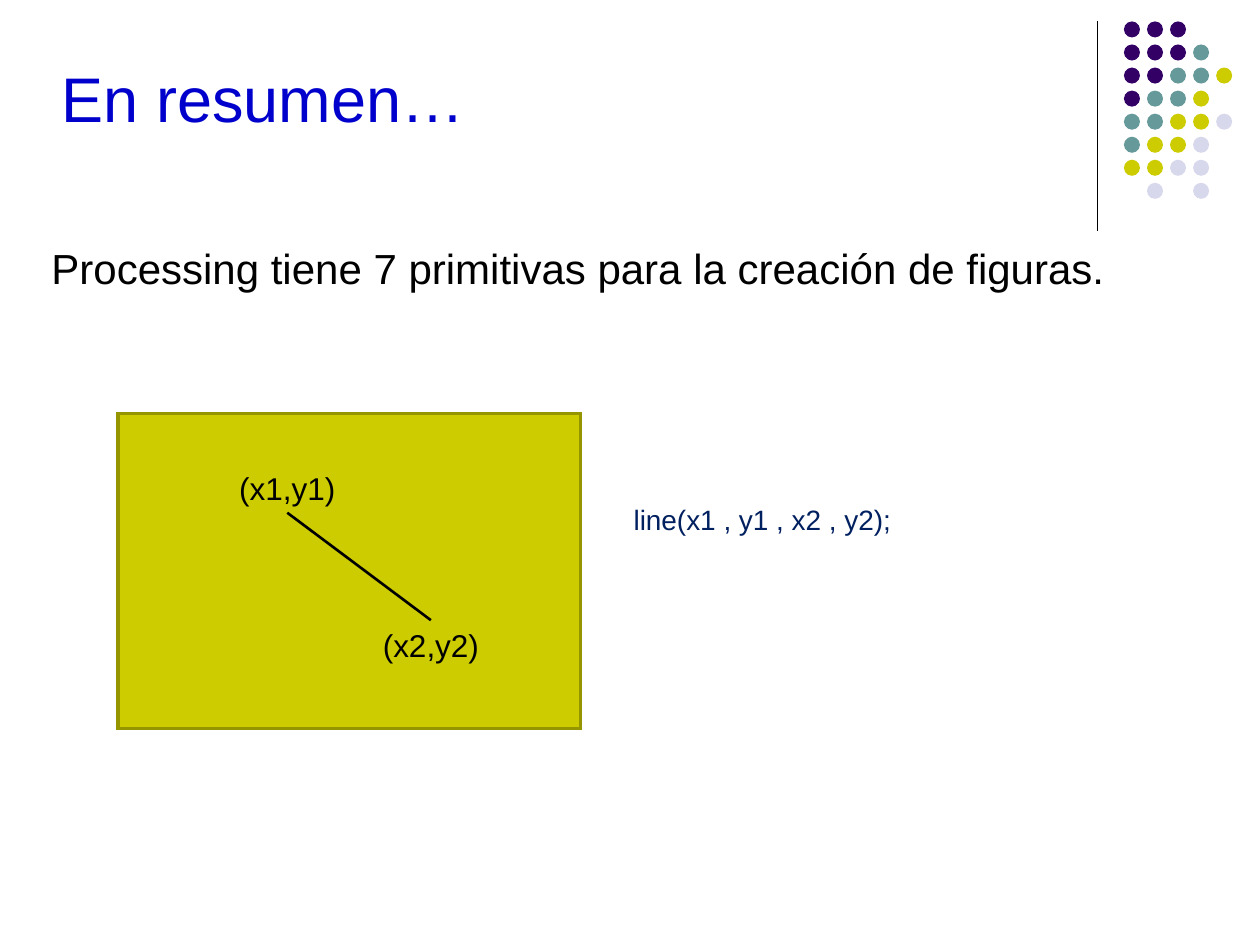
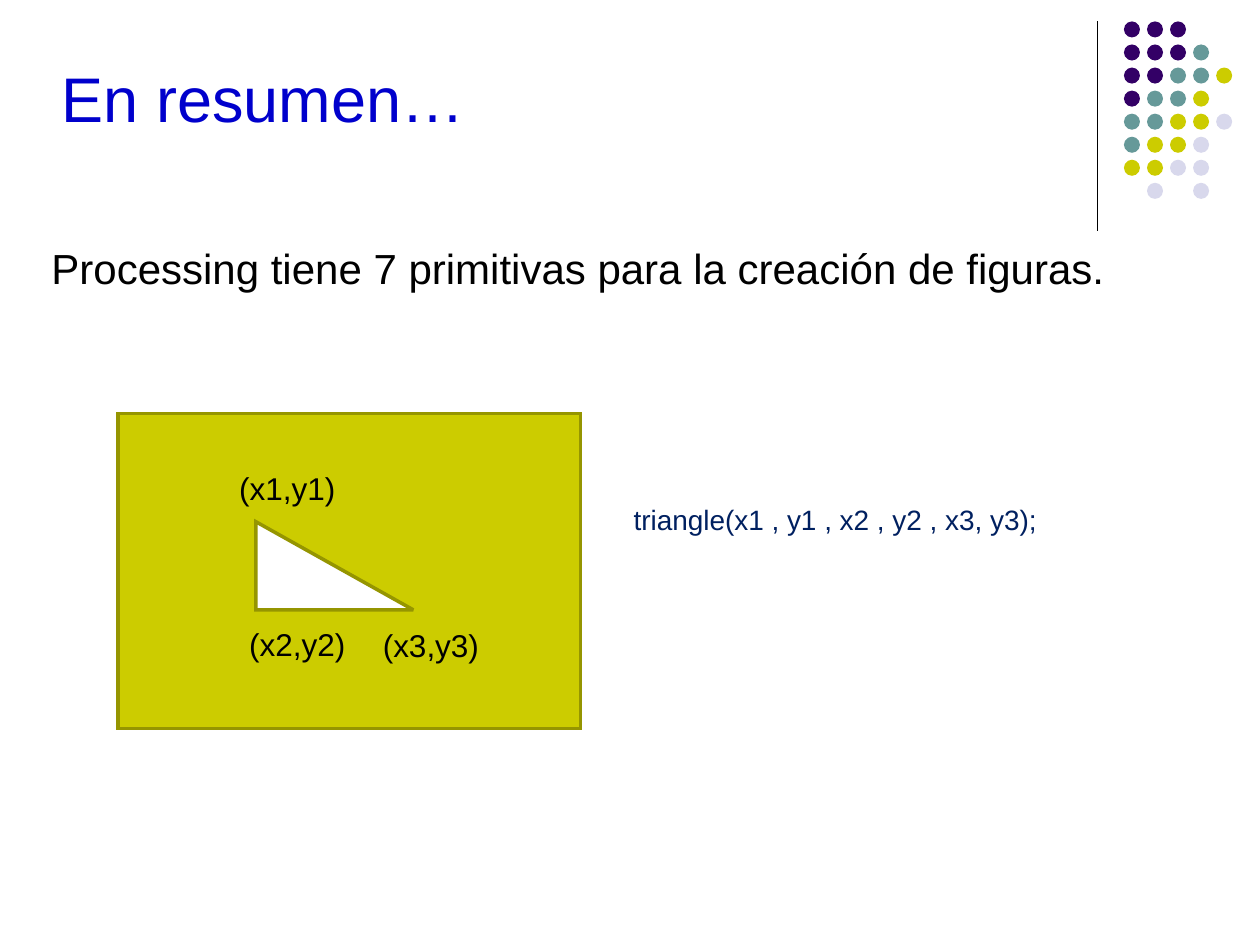
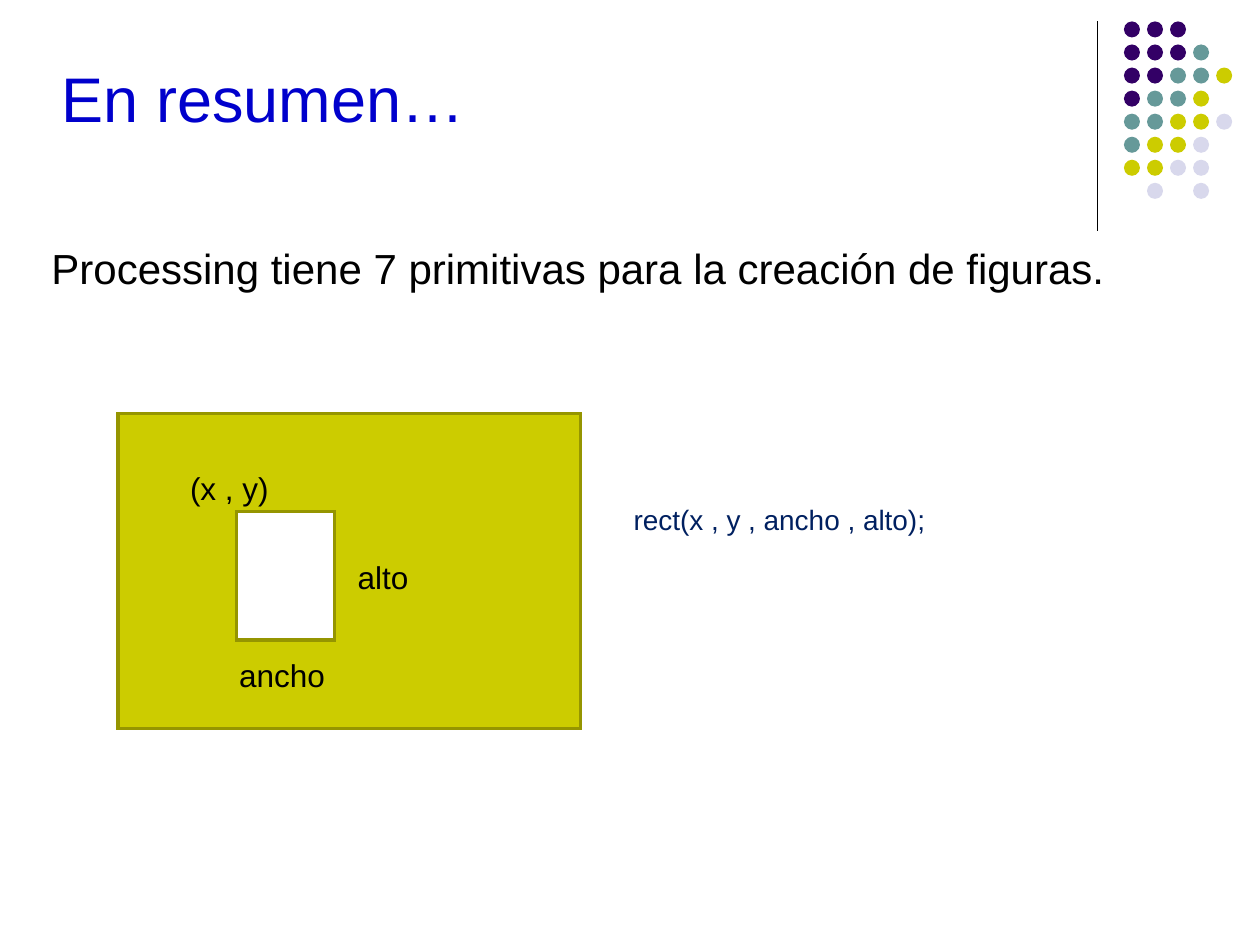
from dataclasses import dataclass
from typing import Optional

from lxml import etree
from pptx import Presentation
from pptx import util as u
from pptx.dml.color import RGBColor
from pptx.enum import shapes, text
from pptx.oxml.ns import qn

COLORS = {
    "black": "000000", "white": "FFFFFF", "title": "0000CC", "code": "002060",
    "olive": "CCCC00", "olive_edge": "959500",
    "purple": "330066", "teal": "669999", "lavender": "D8D8EC",
}
FONT = "Arial"
SLIDE_W, SLIDE_H = u.Inches(10), u.Inches(7.5)
TITLE = "En resumen…"
INTRO = "Processing tiene 7 primitivas para la creación de figuras."

# Corner dots: one letter per dot, a point where there is none
DOT_ROWS = ("PPP..", "PPPT.", "PPTTO", "PTTO.", "TTOOL", "TOOL.", "OOLL.", ".L.L.")
DOT_COLORS = {"P": "purple", "T": "teal", "O": "olive", "L": "lavender"}


def across(share: float) -> int:
    return round(SLIDE_W * share / 100)


def down(share: float) -> int:
    return round(SLIDE_H * share / 100)


@dataclass(frozen=True)
class Box:
    """Left, top, width and height in percent of the slide."""
    left: float
    top: float
    width: float
    height: float

    def emu(self) -> tuple[int, int, int, int]:
        return across(self.left), down(self.top), across(self.width), down(self.height)


@dataclass(frozen=True)
class Label:
    caption: str
    box: Box


@dataclass(frozen=True)
class Figure:
    preset: shapes.MSO_SHAPE
    box: Box


@dataclass(frozen=True)
class Primitive:
    """A drawing call; without a figure, a line joins its first two labels."""
    call: str
    labels: tuple[Label, ...]
    figure: Optional[Figure] = None


TITLE_BOX = Box(3.9, 3.07, 84.4, 14.4)
INTRO_BOX = Box(3.1, 25, 89.8, 6.67)
CALL_BOX = Box(49.3, 48.93, 46.8, 12)
CANVAS_BOX = Box(9.37, 43.75, 36.7, 33.33)
FIRST_POINT = Box(18, 48.93, 9.6, 5.33)
LAST_POINT = Box(29.4, 65.63, 9.6, 5.33)

PRIMITIVES = (
    Primitive("line(x1 , y1 , x2 , y2);",
              (Label("(x1,y1)", FIRST_POINT), Label("(x2,y2)", LAST_POINT))),
    Primitive("triangle(x1 , y1 , x2 , y2 , x3, y3);",
              (Label("(x1,y1)", FIRST_POINT), Label("(x3,y3)", LAST_POINT),
               Label("(x2,y2)", Box(18.8, 65.47, 9.6, 5.33))),
              Figure(shapes.MSO_SHAPE.RIGHT_TRIANGLE, Box(20.3, 55.2, 12.5, 9.33))),
    Primitive("rect(x , y , ancho , alto);",
              (Label("(x , y)", Box(14.1, 48.93, 8.2, 5.33)),
               Label("alto", Box(27.4, 58.4, 6, 5.33)),
               Label("ancho", Box(18, 68.8, 8.8, 5.33))),
              Figure(shapes.MSO_SHAPE.RECTANGLE, Box(18.75, 54.13, 7.8, 13.6))),
)


def rgb(name: str) -> RGBColor:
    return RGBColor.from_string(COLORS[name])


def write(frame, words: str, size: float, color: str) -> None:
    frame.text = words
    frame.word_wrap = True
    frame.auto_size = text.MSO_AUTO_SIZE.NONE
    paragraph = frame.paragraphs[0]
    paragraph.alignment = text.PP_ALIGN.LEFT
    font = paragraph.runs[0].font
    font.name, font.size = FONT, u.Pt(size)
    font.color.rgb = rgb(color)


def add_text(slide, box: Box, words: str, size: float, color: str):
    area = slide.shapes.add_textbox(*box.emu())
    write(area.text_frame, words, size, color)
    return area


def add_label(slide, label: Label):
    area = add_text(slide, label.box, label.caption, 18, "black")
    area.text_frame.margin_right = 0  # keeps the caption on one line
    return area


def add_outline(parent, preset, box: Box, fill: str, edge: Optional[str] = None) -> None:
    outline = parent.add_shape(preset, *box.emu())
    outline.shadow.inherit = False
    outline.fill.solid()
    outline.fill.fore_color.rgb = rgb(fill)
    if edge:
        outline.line.color.rgb = rgb(edge)
        outline.line.width = u.Pt(2)
        stroke = outline.element.spPr.find(qn("a:ln"))
        etree.SubElement(stroke, qn("a:miter"), lim="800000")
    else:
        outline.line.fill.background()


def add_line(slide, start: tuple[int, int], end: tuple[int, int], width: float):
    line = slide.shapes.add_connector(shapes.MSO_CONNECTOR.STRAIGHT, *start, *end)
    line.line.color.rgb = rgb("black")
    line.line.width = u.Pt(width)
    etree.SubElement(line.element.spPr, qn("a:effectLst"))
    return line


def add_corner(slide) -> None:
    add_line(slide, (across(87.1), down(2.27)), (across(87.1), down(24.4)), 0.75)
    for row, letters in enumerate(DOT_ROWS):
        for column, letter in enumerate(letters):
            if letter in DOT_COLORS:
                box = Box(89.2 + 1.83 * column, 2.27 + 2.44 * row, 1.27, 1.7)
                add_outline(slide.shapes, shapes.MSO_SHAPE.OVAL, box, DOT_COLORS[letter])


def add_title(slide) -> None:
    title = slide.shapes.title
    title.left, title.top, title.width, title.height = TITLE_BOX.emu()
    write(title.text_frame, TITLE, 36, "title")
    title.text_frame.vertical_anchor = text.MSO_ANCHOR.MIDDLE


def add_primitive(deck, primitive: Primitive) -> None:
    slide = deck.slides.add_slide(deck.slide_layouts[5])

    # Shared frame
    add_corner(slide)
    add_title(slide)
    add_text(slide, INTRO_BOX, INTRO, 24, "black")

    # Drawing call
    call = add_text(slide, CALL_BOX, primitive.call, 16, "code")
    call.text_frame.vertical_anchor = text.MSO_ANCHOR.MIDDLE

    # Canvas with its labelled figure
    add_outline(slide.shapes, shapes.MSO_SHAPE.RECTANGLE, CANVAS_BOX, "olive", "olive_edge")
    points = [add_label(slide, label) for label in primitive.labels]
    if primitive.figure:
        add_outline(slide.shapes, primitive.figure.preset, primitive.figure.box,
                    "white", "olive_edge")
    else:
        segment = add_line(slide, (0, 0), (0, 0), 1.5)
        segment.begin_connect(points[0], 2)
        segment.end_connect(points[1], 0)


def main() -> None:
    deck = Presentation()
    deck.slide_width, deck.slide_height = SLIDE_W, SLIDE_H
    for primitive in PRIMITIVES:
        add_primitive(deck, primitive)
    deck.save("out.pptx")


if __name__ == "__main__":
    main()
